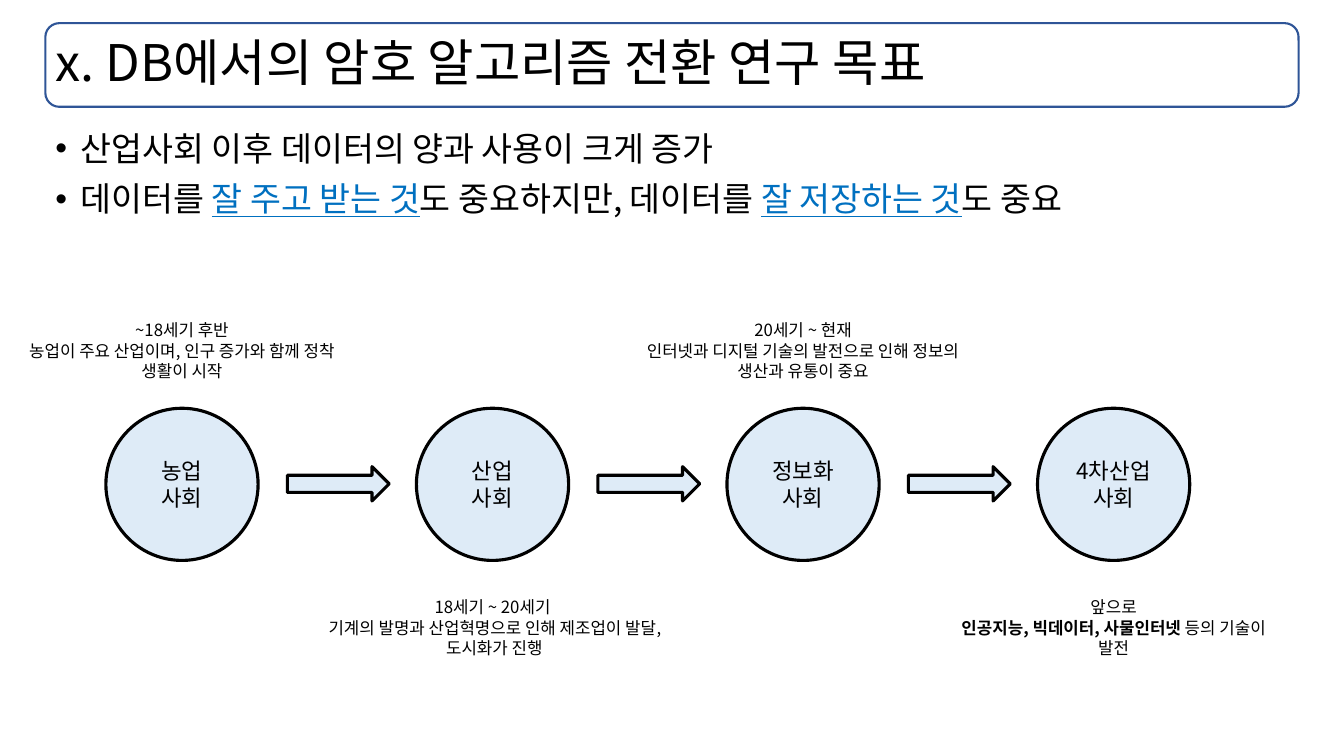
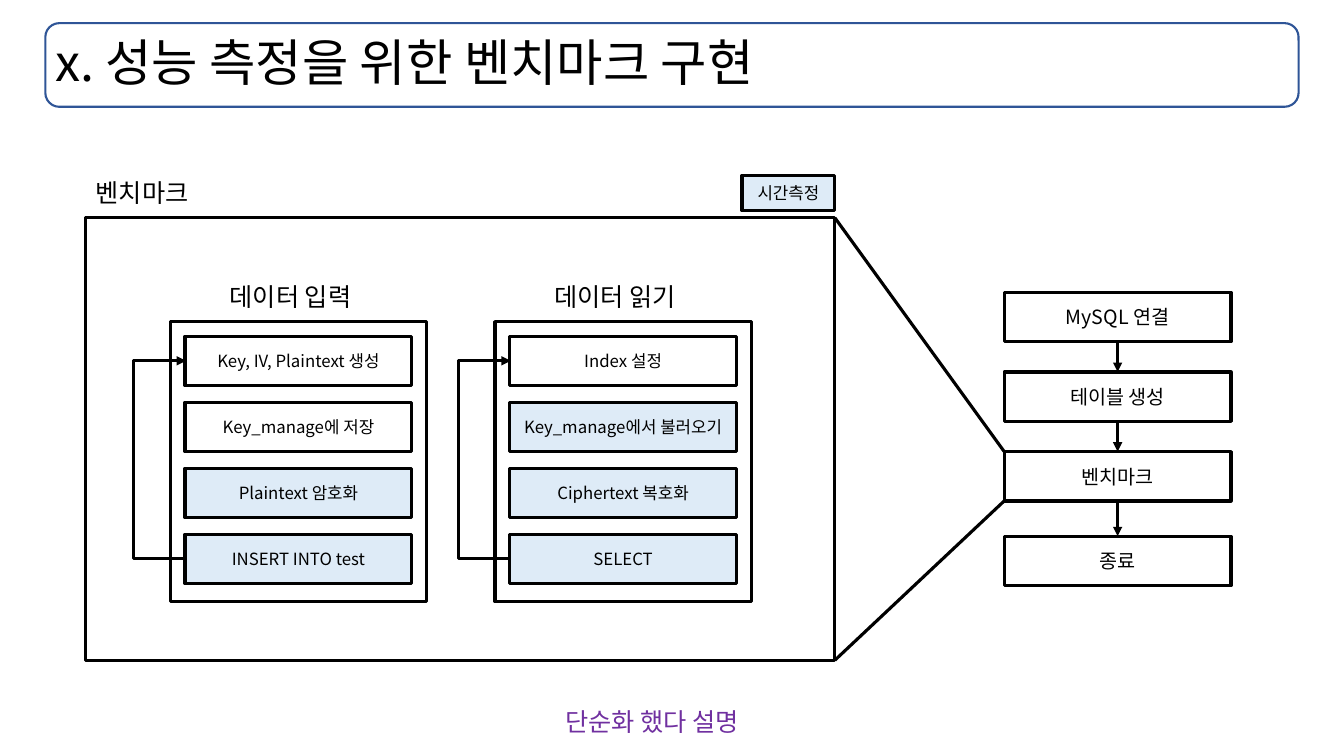
from dataclasses import dataclass

from lxml import etree
from pptx import Presentation
from pptx.dml.color import RGBColor
from pptx.enum.shapes import MSO_CONNECTOR, MSO_SHAPE
from pptx.enum.text import MSO_ANCHOR, MSO_AUTO_SIZE, PP_ALIGN
from pptx.oxml.ns import qn
from pptx.util import Inches, Pt

BLACK = RGBColor(0x00, 0x00, 0x00)
WHITE = RGBColor(0xFF, 0xFF, 0xFF)
PALE_BLUE = RGBColor(0xDE, 0xEB, 0xF7)
FRAME_BLUE = RGBColor(0x2F, 0x55, 0x97)
KEY_BLUE = RGBColor(0x00, 0x70, 0xC0)
PURPLE = RGBColor(0x70, 0x30, 0xA0)

RECT = MSO_SHAPE.RECTANGLE
ROUND_RECT = MSO_SHAPE.ROUNDED_RECTANGLE
OVAL = MSO_SHAPE.OVAL
RIGHT_ARROW = MSO_SHAPE.RIGHT_ARROW
STRAIGHT = MSO_CONNECTOR.STRAIGHT
ELBOW = MSO_CONNECTOR.ELBOW
LEFT, CENTER = PP_ALIGN.LEFT, PP_ALIGN.CENTER
TOP, MIDDLE = MSO_ANCHOR.TOP, MSO_ANCHOR.MIDDLE

FONT = "Noto Sans CJK KR"
SLIDE_W, SLIDE_H = 13.33, 7.5
MARGIN = 0.45
CONTENT_W = SLIDE_W - 2 * MARGIN
TITLE_BOX = (MARGIN, 0.23, CONTENT_W, 0.83)
BODY_BOX = (MARGIN, 1.26, CONTENT_W, 5.53)
LINE_W = 2.25

# Timeline: equal columns, captions alternating above and below
ERA_LEFT, ERA_TOP, ERA_STEP, ERA_SIZE = 1.05, 4.05, 3.08, 1.51
CAPTION_ROWS = ((2.87, 1.21), (5.66, 1.13))

# Benchmark: one step size for every flow
STEP_W, STEP_H = 2.25, 0.49
STAGE_LEFT, STAGE_GAP, STAGE_TOP = 1.69, 3.22, 3.19
STAGE_W, STAGE_H, STAGE_PAD = 2.54, 2.78, 0.145
STAGE_PITCH = 0.655
LOOP_REACH = 0.52
BENCH_LEFT, BENCH_TOP, BENCH_W, BENCH_H = 0.85, 2.16, 7.43, 4.39
FLOW_LEFT = 9.96


@dataclass(frozen=True)
class Span:
    text: str
    color: RGBColor = BLACK
    underline: bool = False
    bold: bool = False


@dataclass(frozen=True)
class Era:
    name: str
    caption: list[list[Span]]
    caption_w: float = 3.45


@dataclass(frozen=True)
class Step:
    text: str
    timed: bool = False


@dataclass(frozen=True)
class Stage:
    title: str
    steps: list[Step]


BULLETS = [
    [Span("산업사회 이후 데이터의 양과 사용이 크게 증가")],
    [Span("데이터를 "), Span("잘 주고 받는 것", KEY_BLUE, True),
     Span("도 중요하지만, 데이터를 "), Span("잘 저장하는 것", KEY_BLUE, True),
     Span("도 중요")],
]
ERAS = [
    Era("농업\n사회", [[Span("~18세기 후반")],
                     [Span("농업이 주요 산업이며, 인구 증가와 함께 정착 생활이 시작")]], 3.3),
    Era("산업\n사회", [[Span("18세기 ~ 20세기")],
                     [Span("기계의 발명과 산업혁명으로 인해 제조업이 발달, 도시화가 진행")]]),
    Era("정보화\n사회", [[Span("20세기 ~ 현재")],
                      [Span("인터넷과 디지털 기술의 발전으로 인해 정보의 생산과 유통이 중요")]]),
    Era("4차산업\n사회", [[Span("앞으로")],
                       [Span("인공지능, 빅데이터, 사물인터넷", bold=True),
                        Span(" 등의 기술이 발전")]]),
]
STAGES = [
    Stage("데이터 입력", [Step("Key, IV, Plaintext 생성"), Step("Key_manage에 저장"),
                     Step("Plaintext 암호화", True), Step("INSERT INTO test", True)]),
    Stage("데이터 읽기", [Step("Index 설정"), Step("Key_manage에서 불러오기", True),
                     Step("Ciphertext 복호화", True), Step("SELECT", True)]),
]
FLOW = [("MySQL 연결", 2.9), ("테이블 생성", 3.69), ("벤치마크", 4.48), ("종료", 5.32)]
BENCH_STEP_TOP = FLOW[2][1]


def inches(*values: float) -> list[int]:
    return [Inches(v) for v in values]


def place(sp, box) -> None:
    sp.left, sp.top, sp.width, sp.height = inches(*box)


def style_run(r, size: float, color: RGBColor = BLACK) -> None:
    """Set size, colour and the font for both Latin and Korean text."""
    r.font.size = Pt(size)
    r.font.color.rgb = color
    r.font.name = FONT
    etree.SubElement(r.font._element, qn("a:ea"), typeface=FONT)


def write(tf, text: str, size: float, align=CENTER, color: RGBColor = BLACK) -> None:
    tf.text = text
    for p in tf.paragraphs:
        p.alignment = align
        for r in p.runs:
            style_run(r, size, color)


def write_spans(tf, paragraphs: list[list[Span]], size: float, align=CENTER) -> None:
    for i, spans in enumerate(paragraphs):
        p = tf.paragraphs[0] if i == 0 else tf.add_paragraph()
        p.alignment = align
        for span in spans:
            r = p.add_run()
            r.text = span.text
            style_run(r, size, span.color)
            if span.underline:
                r.font.underline = True
            if span.bold:
                r.font.bold = True


def add_box(s, kind, box, fill=None, text: str = "", size: float = 12,
            line: RGBColor = BLACK, line_w: float = LINE_W):
    sp = s.shapes.add_shape(kind, *inches(*box))
    sp.shadow.inherit = False
    if fill is None:
        sp.fill.background()
    else:
        sp.fill.solid()
        sp.fill.fore_color.rgb = fill
    sp.line.color.rgb = line
    sp.line.width = Pt(line_w)
    if text:
        sp.text_frame.word_wrap = True
        sp.text_frame.vertical_anchor = MIDDLE
        write(sp.text_frame, text, size)
    return sp


def add_text(s, box, anchor=TOP):
    tf = s.shapes.add_textbox(*inches(*box)).text_frame
    tf.word_wrap = True
    tf.vertical_anchor = anchor
    return tf


def add_line(s, start, end, kind=STRAIGHT, arrow: bool = False):
    line = s.shapes.add_connector(kind, *inches(*start, *end))
    line.line.color.rgb = BLACK
    line.line.width = Pt(LINE_W)
    if arrow:
        etree.SubElement(line.line._get_or_add_ln(), qn("a:tailEnd"), type="triangle")
    etree.SubElement(line.element.spPr, qn("a:effectLst"))
    return line


def add_loop(s, x: float, bottom: float, top: float) -> None:
    """Return arrow that leaves to the left and comes back at the top."""
    width = 0.01
    loop = add_line(s, (x, bottom), (x + width, top), ELBOW, arrow=True)
    guides = loop.element.spPr.find(qn("a:prstGeom")).get_or_add_avLst()
    bend = round(-LOOP_REACH / width * 100000)
    etree.SubElement(guides, qn("a:gd"), name="adj1", fmla=f"val {bend}")


def add_master_frame(prs, s) -> None:
    """Put the title frame on the master, behind everything."""
    frame = add_box(s, ROUND_RECT, TITLE_BOX, line=FRAME_BLUE, line_w=1.5)
    prs.slide_master.shapes.element.insert(2, frame.element)


def add_slide(prs, layout: int, title: str):
    s = prs.slides.add_slide(prs.slide_layouts[layout])
    place(s.shapes.title, TITLE_BOX)
    tf = s.shapes.title.text_frame
    tf.auto_size = MSO_AUTO_SIZE.NONE
    tf.vertical_anchor = MIDDLE
    write(tf, title, 36, LEFT)
    tf.paragraphs[0].line_spacing = 0.9
    return s


def add_bullets(s) -> None:
    body = s.placeholders[1]
    place(body, BODY_BOX)
    tf = body.text_frame
    tf.auto_size = MSO_AUTO_SIZE.NONE
    write_spans(tf, BULLETS, 24, LEFT)
    for i, p in enumerate(tf.paragraphs):
        p.line_spacing = 0.9
        p.space_before = Pt(10 if i else 0)
        pPr = p._p.get_or_add_pPr()
        pPr.set("marL", str(Inches(0.25)))
        pPr.set("indent", str(-Inches(0.25)))


def add_timeline(s) -> None:
    for i, era in enumerate(ERAS):
        left = ERA_LEFT + i * ERA_STEP
        add_box(s, OVAL, (left, ERA_TOP, ERA_SIZE, ERA_SIZE), PALE_BLUE, era.name, 16)
        top, height = CAPTION_ROWS[i % 2]
        caption_left = left + (ERA_SIZE - era.caption_w) / 2
        tf = add_text(s, (caption_left, top, era.caption_w, height), MIDDLE)
        write_spans(tf, era.caption, 12)
        if i < len(ERAS) - 1:
            add_box(s, RIGHT_ARROW, (left + 1.8, 4.63, 1.01, 0.34), PALE_BLUE)


def add_stage(s, left: float, stage: Stage) -> None:
    add_box(s, RECT, (left, STAGE_TOP, STAGE_W, STAGE_H), WHITE)
    step_left = left + STAGE_PAD
    tops = [STAGE_TOP + STAGE_PAD + i * STAGE_PITCH for i in range(len(stage.steps))]
    for top, step in zip(tops, stage.steps):
        fill = PALE_BLUE if step.timed else WHITE
        add_box(s, RECT, (step_left, top, STEP_W, STEP_H), fill, step.text)
    add_loop(s, step_left, tops[-1] + STEP_H / 2, tops[0] + STEP_H / 2)
    write(add_text(s, (left + 0.49, 2.74, 1.55, 0.4)), stage.title, 18, LEFT)


def add_flow(s) -> None:
    boxes = [add_box(s, RECT, (FLOW_LEFT, top, STEP_W, STEP_H), WHITE, text, 14)
             for text, top in FLOW]
    x = FLOW_LEFT + STEP_W / 2
    for upper, lower in zip(boxes, boxes[1:]):
        arrow = add_line(s, (x, 0), (x, 1), arrow=True)
        arrow.begin_connect(upper, 2)
        arrow.end_connect(lower, 0)


def add_benchmark(s) -> None:
    right, bottom = BENCH_LEFT + BENCH_W, BENCH_TOP + BENCH_H
    add_box(s, RECT, (BENCH_LEFT, BENCH_TOP, BENCH_W, BENCH_H))
    for i, stage in enumerate(STAGES):
        add_stage(s, STAGE_LEFT + i * STAGE_GAP, stage)
    add_line(s, (right, BENCH_TOP), (FLOW_LEFT, BENCH_STEP_TOP))
    add_line(s, (right, bottom), (FLOW_LEFT, BENCH_STEP_TOP + STEP_H))
    write(add_text(s, (BENCH_LEFT, 1.71, 1.21, 0.4)), "벤치마크", 18, LEFT)
    add_box(s, RECT, (right - 0.92, 1.74, 0.92, 0.35), PALE_BLUE, "시간측정")


def main() -> None:
    prs = Presentation()
    prs.slide_width, prs.slide_height = inches(SLIDE_W, SLIDE_H)

    s = add_slide(prs, 1, "x. DB에서의 암호 알고리즘 전환 연구 목표")
    add_master_frame(prs, s)
    add_bullets(s)
    add_timeline(s)

    s = add_slide(prs, 5, "x. 성능 측정을 위한 벤치마크 구현")
    add_flow(s)
    add_benchmark(s)
    write(add_text(s, (5.51, 6.96, 2.15, 0.4)), "단순화 했다 설명", 18, LEFT, PURPLE)

    prs.save("out.pptx")


if __name__ == "__main__":
    main()
